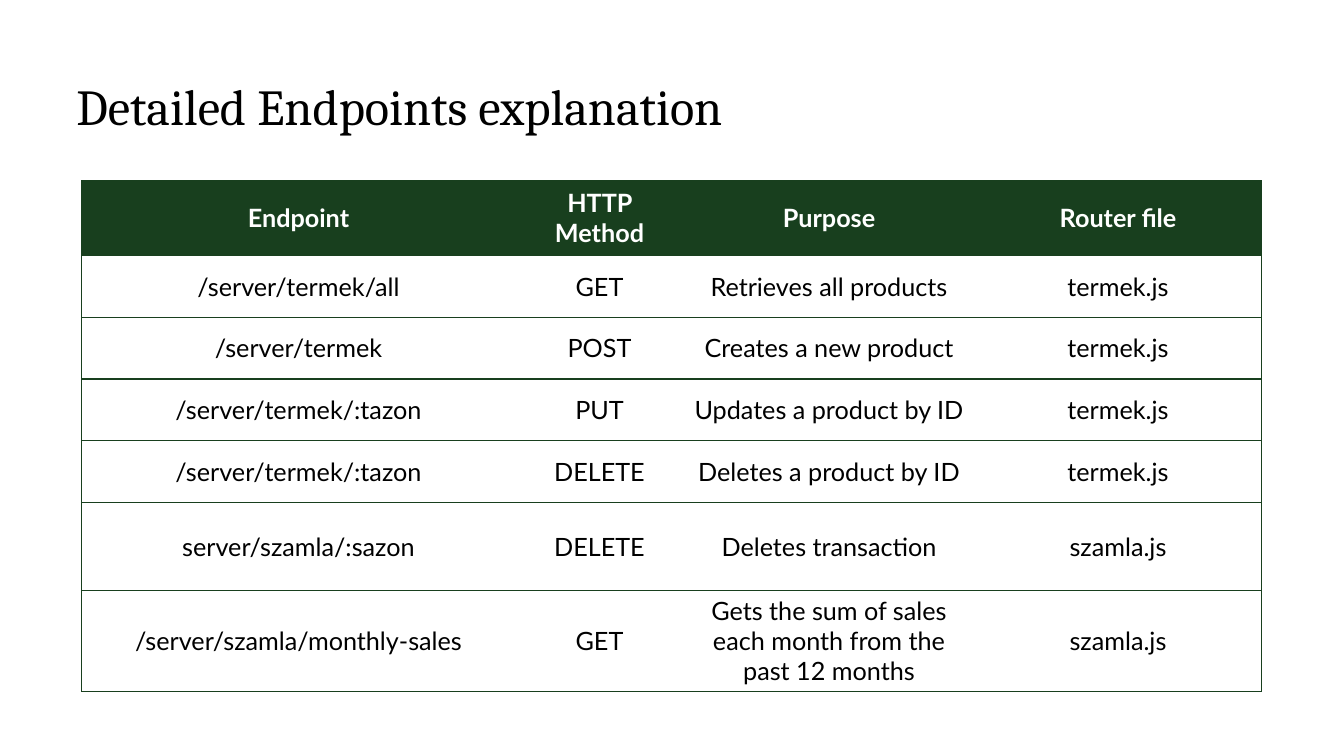
from lxml.etree import SubElement
from pptx import Presentation
from pptx.dml.color import RGBColor
from pptx.enum.text import MSO_ANCHOR as Anchor, PP_ALIGN as Align
from pptx.oxml.ns import qn
from pptx.util import Pt

TITLE = "Detailed Endpoints explanation"
ROWS = [
    ("Endpoint", "HTTP Method", "Purpose", "Router file"),
    ("/server/termek/all", "GET", "Retrieves all products", "termek.js"),
    ("/server/termek", "POST", "Creates a new product", "termek.js"),
    ("/server/termek/:tazon", "PUT", "Updates a product by ID", "termek.js"),
    ("/server/termek/:tazon", "DELETE", "Deletes a product by ID", "termek.js"),
    ("server/szamla/:sazon", "DELETE", "Deletes transaction", "szamla.js"),
    ("/server/szamla/monthly-sales", "GET",
     "Gets the sum of sales each month from the past 12 months", "szamla.js"),
]
COLUMN_WIDTHS = [309.8, 120.3, 207.6, 205.3]
ROW_HEIGHTS = [53.5] + [44.1] * 4 + [62.9] * 2
COLORS = {"green": "183F1E", "white": "FFFFFF", "black": "000000"}


def add_text(paragraph, text, font_name, size, color, bold=False):
    run = paragraph.add_run()
    run.text = text
    run.font.name = font_name
    run.font.size = Pt(size)
    run.font.bold = bold
    run.font.color.rgb = RGBColor.from_string(COLORS[color])


def set_borders(cell, visible_sides):
    properties = cell._tc.get_or_add_tcPr()
    for side in "LRTB":
        line = SubElement(properties, qn(f"a:ln{side}"), w=str(Pt(1)))
        if side in visible_sides:
            fill = SubElement(line, qn("a:solidFill"))
            SubElement(fill, qn("a:srgbClr"), val=COLORS["green"])
        else:
            SubElement(line, qn("a:noFill"))


def add_title(slide):
    box = slide.shapes.add_textbox(Pt(47.5), Pt(9.4), Pt(760.3), Pt(91.4))
    frame = box.text_frame
    frame.word_wrap = True
    frame.vertical_anchor = Anchor.BOTTOM
    paragraph = frame.paragraphs[0]
    paragraph.line_spacing = 0.9
    add_text(paragraph, TITLE, "Cambria", 36, "black")


def add_endpoint_table(slide):
    table = slide.shapes.add_table(
        len(ROWS), len(COLUMN_WIDTHS), Pt(58.3), Pt(129),
        Pt(sum(COLUMN_WIDTHS)), Pt(sum(ROW_HEIGHTS))).table
    table.horz_banding = False
    for column, width in zip(table.columns, COLUMN_WIDTHS):
        column.width = Pt(width)
    for row, height in zip(table.rows, ROW_HEIGHTS):
        row.height = Pt(height)
    last_column = len(COLUMN_WIDTHS) - 1
    for row_index, texts in enumerate(ROWS):
        header = row_index == 0
        for column_index, text in enumerate(texts):
            cell = table.cell(row_index, column_index)
            sides = "TB" + {0: "L", last_column: "R"}.get(column_index, "")
            set_borders(cell, sides)
            if header:
                cell.fill.solid()
                cell.fill.fore_color.rgb = RGBColor.from_string(COLORS["green"])
            else:
                cell.fill.background()
            cell.vertical_anchor = Anchor.MIDDLE
            paragraph = cell.text_frame.paragraphs[0]
            paragraph.alignment = Align.CENTER
            add_text(paragraph, text, "Lato", 18,
                     "white" if header else "black", header)


def main():
    presentation = Presentation()
    presentation.slide_width = Pt(960)
    presentation.slide_height = Pt(540)
    slide = presentation.slides.add_slide(presentation.slide_layouts[6])
    add_endpoint_table(slide)
    add_title(slide)
    presentation.save("out.pptx")


if __name__ == "__main__":
    main()
